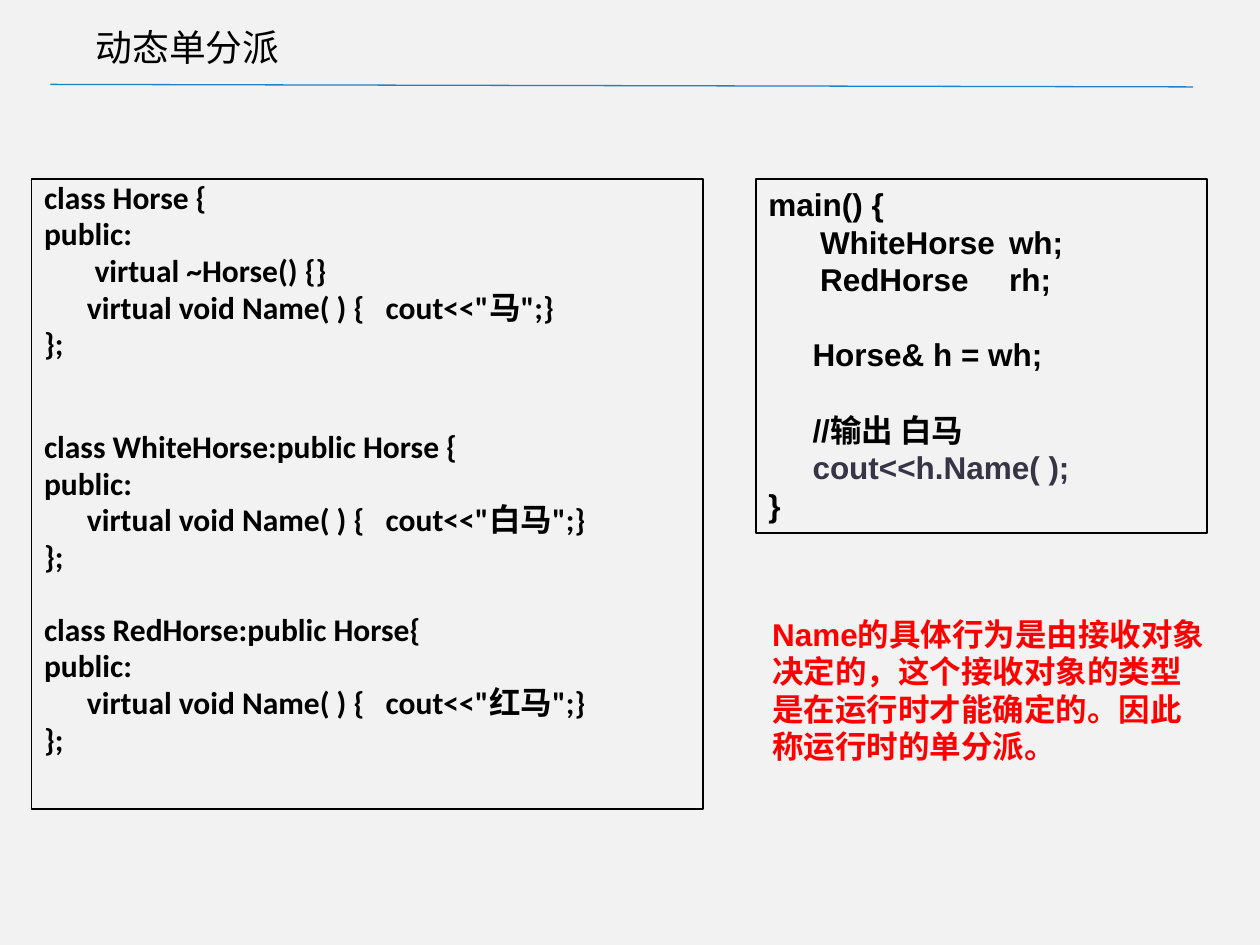
from dataclasses import dataclass

from lxml.etree import SubElement
from pptx import Presentation
from pptx.dml.color import RGBColor
from pptx.enum.shapes import MSO_CONNECTOR, MSO_SHAPE
from pptx.enum.text import MSO_ANCHOR, MSO_AUTO_SIZE, PP_ALIGN
from pptx.oxml.ns import qn
from pptx.util import Inches, Pt


@dataclass(frozen=True)
class Theme:
    background: RGBColor = RGBColor(0xF2, 0xF2, 0xF2)
    ink: RGBColor = RGBColor(0, 0, 0)
    call: RGBColor = RGBColor(0x37, 0x35, 0x45)
    rule: RGBColor = RGBColor(0x21, 0x81, 0xC6)
    note: RGBColor = RGBColor(0xFF, 0, 0)
    title_font: str = "Calibri"
    main_font: str = "Arial"
    title_size: Pt = Pt(21)
    text_size: Pt = Pt(18)
    line: Pt = Pt(0.75)


T = Theme()


def add_line(tf, text, font, color=T.ink, size=T.text_size, bold=True,
             indent=0, before=0, spacing=1.0, tab=None):
    """Write text as the next paragraph of tf, using the empty first one."""
    p = tf.paragraphs[0]
    if p.runs:
        p = tf.add_paragraph()
    p.alignment = PP_ALIGN.LEFT
    p.space_before = Pt(before)
    p.line_spacing = spacing
    pPr = p._p.get_or_add_pPr()
    pPr.set("marL", str(Inches(indent)))
    pPr.set("indent", "0")
    if tab:
        stops = SubElement(pPr, qn("a:tabLst"))
        SubElement(stops, qn("a:tab"), pos=str(Inches(tab)), algn="l")
    r = p.add_run()
    r.text = text
    r.font.name, r.font.size, r.font.bold = font, size, bold
    r.font.color.rgb = color


def place(shape, left, top, width, height, anchor=MSO_ANCHOR.TOP):
    """Set the frame of a shape and return its wrapped text frame."""
    shape.left, shape.top = Inches(left), Inches(top)
    shape.width, shape.height = Inches(width), Inches(height)
    tf = shape.text_frame
    tf.word_wrap = True
    tf.auto_size = MSO_AUTO_SIZE.NONE
    tf.vertical_anchor = anchor
    return tf


prs = Presentation()
prs.slide_width, prs.slide_height = Inches(10), Inches(7.5)
s = prs.slides.add_slide(prs.slide_layouts[0])
s.background.fill.solid()
s.background.fill.fore_color.rgb = T.background

# Title and the rule below it
tf = place(s.shapes.title, 0.66, 0.08, 9.34, 0.59, MSO_ANCHOR.MIDDLE)
add_line(tf, "动态单分派", T.title_font, size=T.title_size, bold=False)

rule = s.shapes.add_connector(MSO_CONNECTOR.STRAIGHT, Inches(0.4), Inches(0.67),
                              Inches(9.47), Inches(0.69))
rule.line.color.rgb = T.rule
rule.line.width = T.line
SubElement(rule._element.spPr, qn("a:effectLst"))

# Class definitions: text, indent, space before
classes = s.placeholders[1]
tf = place(classes, 0.25, 1.42, 5.33, 5)
classes.line.color.rgb = T.ink
classes.line.width = T.line
for text, indent, before in [
    ("class Horse {", 0, 3.6),
    ("public:", 0, 3.6),
    ("virtual ~Horse() {}", 0.4, 3.6),
    ("virtual void Name( ) {   cout<<\"马\";}", 0.34, 3.6),
    ("};", 0, 3.6),
    ("class WhiteHorse:public Horse {", 0, 41.5),
    ("public:", 0, 3.6),
    ("virtual void Name( ) {   cout<<\"白马\";}", 0.34, 3.6),
    ("};", 0, 3.6),
    ("class RedHorse:public Horse{", 0, 24.5),
    ("public:", 0, 3.6),
    ("virtual void Name( ) {   cout<<\"红马\";}", 0.34, 3.6),
    ("};", 0, 3.6),
]:
    add_line(tf, text, T.title_font, indent=indent, before=before, spacing=0.8)

# Main program: text, indent, space before, tab stop, colour
program = s.shapes.add_shape(MSO_SHAPE.RECTANGLE, 0, 0, 0, 0)
program.shadow.inherit = False
program.fill.background()
program.line.color.rgb = T.ink
program.line.width = T.line
tf = place(program, 6, 1.42, 3.58, 2.81)
for text, indent, before, tab, color in [
    ("main() {", 0, 0, None, T.ink),
    ("WhiteHorse\twh;", 0.41, 0, 1.94, T.ink),
    ("RedHorse\trh;", 0.41, 0, 2.01, T.ink),
    ("Horse& h = wh;", 0.35, 21.5, None, T.ink),
    ("//输出 白马", 0.35, 21.5, None, T.ink),
    ("cout<<h.Name( );", 0.35, 0, None, T.call),
    ("}", 0, 0, None, T.ink),
]:
    add_line(tf, text, T.main_font, color, indent=indent, before=before,
             spacing=Pt(21.5), tab=tab)

# Explanation
tf = place(s.shapes.add_textbox(0, 0, 0, 0), 6.03, 4.83, 3.67, 1.3)
add_line(tf, "Name的具体行为是由接收对象决定的，这个接收对象的类型是在运行时才能确定的。"
         "因此称运行时的单分派。", T.main_font, T.note, spacing=Pt(21.5))

prs.save("out.pptx")
